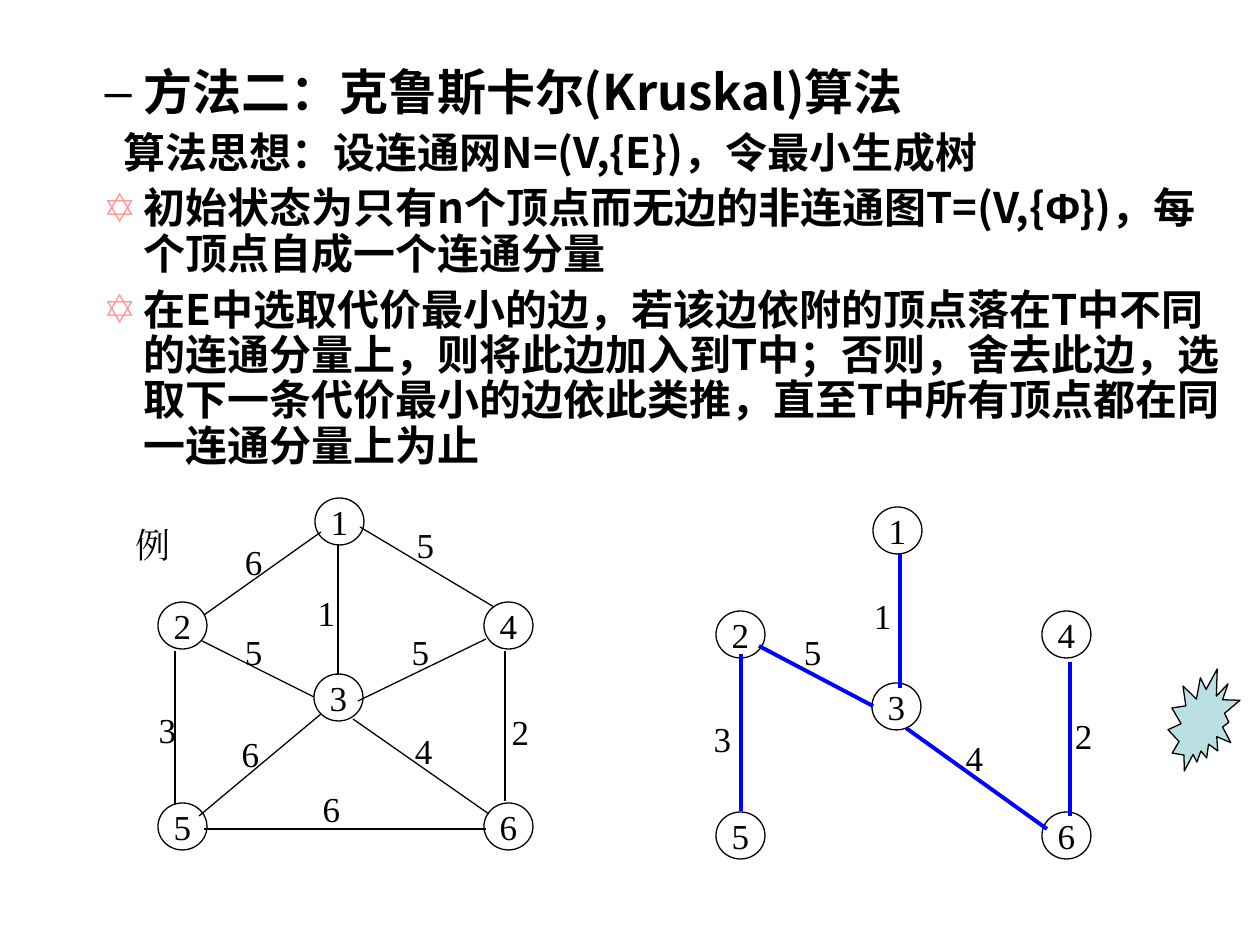
from lxml.etree import SubElement
from pptx import Presentation
from pptx.dml.color import RGBColor
from pptx.enum.shapes import MSO_CONNECTOR as Connector, MSO_SHAPE as Shape
from pptx.enum.text import MSO_ANCHOR as Anchor, MSO_AUTO_SIZE as AutoSize, PP_ALIGN as Align
from pptx.oxml.ns import qn
from pptx.util import Emu, Pt

SANS, SERIF = "Noto Sans CJK SC", "Times New Roman"
BLACK, BLUE, PINK, AQUA = "000000", "0000FF", "FF9999", "BBE0E3"
NODE_SIZE = (49, 47)
LABEL_SIZE = (43, 55)
TREE_OFFSET = (558, 9)

BODY = [
    ("–", BLACK, -39, 28, [("方法二：克鲁斯卡尔(Kruskal)算法", SANS)]),
    (None, None, -20, 24, [("算法思想：设连通网N=(V,{E})，令最小生成树", SANS)]),
    ("✡", PINK, -39, 24, [
        ("初始状态为只有n个顶点而无边的非连通图T=(V,{", SANS),
        ("Φ", "Arial"),
        ("})，每个顶点自成一个连通分量", SANS),
    ]),
    ("✡", PINK, -39, 24, [
        ("在E中选取代价最小的边，若该边依附的顶点落在T中不同的连通分量上，"
         "则将此边加入到T中；否则，舍去此边，选取下一条代价最小的边依此类推，"
         "直至T中所有顶点都在同一连通分量上为止", SANS),
    ]),
]

NODES = {
    "1": (315, 498), "6": (484, 803), "5": (158, 803),
    "4": (484, 602), "3": (314, 674), "2": (158, 602),
}

NETWORK_EDGES = [
    ("1", (338, 544), (338, 675), (305, 585)),
    ("6", (321, 532), (204, 615), (232, 534)),
    ("3", (175, 651), (175, 804), (146, 702)),
    ("2", (505, 651), (505, 801), (499, 704)),
    ("6", (204, 829), (486, 829), (310, 781)),
    ("5", (360, 527), (494, 607), (404, 517)),
    ("5", (202, 641), (314, 697), (232, 624)),
    ("5", (486, 639), (358, 701), (399, 624)),
    ("6", (321, 714), (199, 816), (229, 726)),
    ("4", (353, 719), (489, 814), (402, 723)),
]

TREE_EDGES = [
    ("1", (900, 554), (900, 688), (861, 588)),
    ("2", (1070, 662), (1070, 816), (1062, 708)),
    ("3", (741, 654), (741, 811), (701, 711)),
    ("4", (906, 728), (1047, 829), (953, 730)),
    ("5", (759, 646), (873, 706), (791, 624)),
]


def px(length):
    """Turn pixels into EMU."""
    return Emu(round(length * 914400 / 126))


def color(value):
    """Turn a hex string into a colour."""
    return RGBColor.from_string(value)


def add_run(paragraph, text, font_name, size, bold=False):
    """Add one formatted black run."""
    run = paragraph.add_run()
    run.text = text
    run.font.name = font_name
    run.font.size = Pt(size)
    run.font.bold = bold
    run.font.color.rgb = color(BLACK)
    SubElement(run.font._element, qn("a:ea")).set("typeface", font_name)


def set_bullet(paragraph, bullet, bullet_color, indent):
    """Set the hanging indent and bullet of a paragraph."""
    properties = paragraph._p.get_or_add_pPr()
    properties.set("marL", str(px(102)))
    properties.set("indent", str(px(indent)))
    if bullet is None:
        SubElement(properties, qn("a:buNone"))
        return
    fill = SubElement(properties, qn("a:buClr"))
    SubElement(fill, qn("a:srgbClr")).set("val", bullet_color)
    SubElement(properties, qn("a:buChar")).set("char", bullet)


def fill_body(body):
    """Place the body placeholder and write its list."""
    body.left, body.top, body.width, body.height = map(px, (29, 62, 1208, 423))
    frame = body.text_frame
    frame.auto_size = AutoSize.NONE
    frame.vertical_anchor = Anchor.TOP
    for index, (bullet, bullet_color, indent, size, runs) in enumerate(BODY):
        paragraph = frame.add_paragraph() if index else frame.paragraphs[0]
        paragraph.level = 1
        set_bullet(paragraph, bullet, bullet_color, indent)
        paragraph.line_spacing = 0.9
        paragraph.space_before = Pt(6 if index else 0)
        for text, font_name in runs:
            add_run(paragraph, text, font_name, size, bold=True)


def write_centered(shape, text):
    """Write one centred line that does not wrap."""
    frame = shape.text_frame
    frame.word_wrap = False
    frame.vertical_anchor = Anchor.MIDDLE
    paragraph = frame.paragraphs[0]
    paragraph.alignment = Align.CENTER
    add_run(paragraph, text, SERIF, 20)


def add_label(shapes, text, position, size=LABEL_SIZE):
    """Add a centred text label."""
    write_centered(shapes.add_textbox(*map(px, position + size)), text)


def add_outlined(shapes, kind, position, size):
    """Add a preset shape with a thin black outline."""
    shape = shapes.add_shape(kind, *map(px, position + size))
    shape.shadow.inherit = False
    shape.line.color.rgb = color(BLACK)
    shape.line.width = Pt(0.75)
    return shape


def add_nodes(shapes, offset=(0, 0)):
    """Add the numbered vertices of a graph."""
    for name, (left, top) in NODES.items():
        position = (left + offset[0], top + offset[1])
        node = add_outlined(shapes, Shape.OVAL, position, NODE_SIZE)
        node.fill.background()
        write_centered(node, name)


def add_edge(shapes, start, end, line_color, width):
    """Add a straight edge."""
    edge = shapes.add_connector(Connector.STRAIGHT, *map(px, start + end))
    edge.line.color.rgb = color(line_color)
    edge.line.width = Pt(width)
    SubElement(edge._element.spPr, qn("a:effectLst"))


def add_network(slide):
    """Add the weighted network as one group."""
    shapes = slide.shapes.add_group_shape().shapes
    add_label(shapes, "例", (123, 517), (60, 55))
    add_nodes(shapes)
    for _, start, end, _ in NETWORK_EDGES:
        add_edge(shapes, start, end, BLACK, 0.75)
    for weight, _, _, position in NETWORK_EDGES:
        add_label(shapes, weight, position)


def add_tree(slide):
    """Add the spanning tree, each edge grouped with its weight."""
    add_nodes(slide.shapes.add_group_shape().shapes, TREE_OFFSET)
    for weight, start, end, position in TREE_EDGES:
        shapes = slide.shapes.add_group_shape().shapes
        add_edge(shapes, start, end, BLUE, 2.25)
        add_label(shapes, weight, position)


def main():
    """Build and save the slide."""
    presentation = Presentation()
    presentation.slide_width, presentation.slide_height = px(1260), px(945)
    slide = presentation.slides.add_slide(presentation.slide_layouts[1])
    title = slide.shapes.title._element
    title.getparent().remove(title)
    fill_body(slide.placeholders[1])
    add_network(slide)
    add_tree(slide)
    burst = add_outlined(slide.shapes, Shape.EXPLOSION2, (1168, 669), (72, 102))
    burst.fill.solid()
    burst.fill.fore_color.rgb = color(AQUA)
    presentation.save("out.pptx")


if __name__ == "__main__":
    main()
